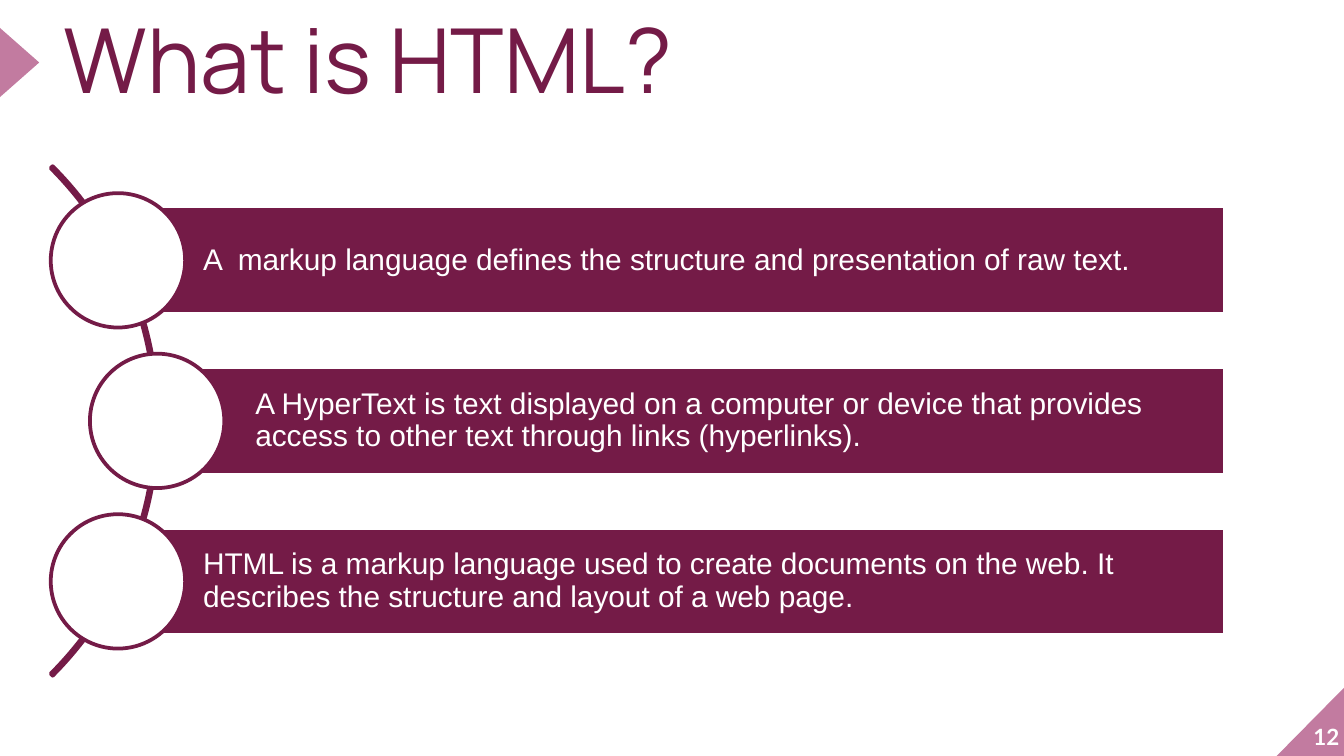
from pptx import Presentation
from pptx.dml.color import RGBColor
from pptx.enum.shapes import MSO_SHAPE
from pptx.enum.text import MSO_ANCHOR, MSO_AUTO_SIZE, PP_ALIGN
from pptx.util import Pt

COLORS = {"plum": "741B47", "pink": "C27BA0", "white": "FFFFFF"}

POINTS = [
    "A  markup language defines the structure and presentation of raw text.",
    "A HyperText is text displayed on a computer or device that provides "
    "access to other text through links (hyperlinks).",
    "HTML is a markup language used to create documents on the web. "
    "It describes the structure and layout of a web page.",
]


def rgb(name):
    return RGBColor.from_string(COLORS[name])


def add_shape(slide, kind, box, fill=None, line=None):
    """Add a flat preset shape; fill and line are colour names or None."""
    sp = slide.shapes.add_shape(kind, *map(Pt, box))
    sp.shadow.inherit = False
    if fill:
        sp.fill.solid()
        sp.fill.fore_color.rgb = rgb(fill)
    else:
        sp.fill.background()
    if line:
        sp.line.color.rgb = rgb(line)
        sp.line.width = Pt(2)
    else:
        sp.line.fill.background()
    return sp


def set_text(sp, text, font, size, color, anchor, insets=(0, 0, 0, 0)):
    """Fill a shape's text frame and return its paragraph."""
    tf = sp.text_frame
    tf.word_wrap = True
    tf.auto_size = MSO_AUTO_SIZE.NONE
    tf.vertical_anchor = anchor
    tf.margin_left, tf.margin_top, tf.margin_right, tf.margin_bottom = map(Pt, insets)
    p = tf.paragraphs[0]
    p.text = text
    p.font.name = font
    p.font.size = Pt(size)
    p.font.color.rgb = rgb(color)
    return p


def add_title(slide, box, text):
    title = slide.shapes.title
    title.left, title.top, title.width, title.height = map(Pt, box)
    p = set_text(title, text, "Manrope", 48, "plum", MSO_ANCHOR.TOP)
    p.alignment = PP_ALIGN.LEFT
    p.line_spacing = 0.8


def add_title_marker(slide, box):
    """Triangle pointing right that fills the box."""
    left, top, width, height = box
    shift = (width - height) / 2
    sp = add_shape(slide, MSO_SHAPE.ISOSCELES_TRIANGLE,
                   (left + shift, top - shift, height, width), "pink")
    sp.rotation = 90


def add_page_corner(slide, box, number):
    left, top, width, height = box
    corner = add_shape(slide, MSO_SHAPE.RIGHT_TRIANGLE, box, "pink")
    corner._element.spPr.xfrm.set("flipH", "1")
    tb = slide.shapes.add_textbox(*map(Pt, (left - 3, top - 3, width, height)))
    p = set_text(tb, number, "Lato", 12, "white", MSO_ANCHOR.BOTTOM)
    p.alignment = PP_ALIGN.RIGHT
    p.font.bold = True


def add_curved_list(slide, box, points):
    """Bars with circles at their heads, strung along an arc."""
    left, top, width, height = box
    circle, bar_height, arc = 72, 57.6, 386
    pitch = (height - circle) / (len(points) - 1)
    middle = top + height / 2

    sp = add_shape(slide, MSO_SHAPE.BLOCK_ARC,
                   (left - 328.4, middle - arc / 2, arc, arc), line="plum")
    for i, value in enumerate((189, 27, 0.004)):
        sp.adjustments[i] = value

    for i, text in enumerate(points):
        y = top + i * pitch
        inner = 0 < i < len(points) - 1
        circle_dx, bar_dx = (21, 64) if inner else (0, 36)
        bar = add_shape(slide, MSO_SHAPE.RECTANGLE,
                        (left + bar_dx, y + (circle - bar_height) / 2,
                         width - bar_dx, bar_height), "plum", "white")
        p = set_text(bar, text, "Arial", 16, "white", MSO_ANCHOR.MIDDLE,
                     (45.6, 3, 3, 3))
        p.alignment = PP_ALIGN.LEFT
        p.line_spacing = 0.9
        add_shape(slide, MSO_SHAPE.OVAL, (left + circle_dx, y, circle, circle),
                  "white", "plum")


def main():
    prs = Presentation()
    prs.slide_width, prs.slide_height = Pt(720), Pt(405)
    slide = prs.slides.add_slide(prs.slide_layouts[5])
    add_page_corner(slide, (684, 368, 36.5, 37), "12")
    add_title_marker(slide, (0, 15, 21, 37))
    add_curved_list(slide, (27.2, 103.5, 629, 244), POINTS)
    add_title(slide, (34, 13.5, 444, 49), "What is HTML?")
    prs.save("out.pptx")


if __name__ == "__main__":
    main()
